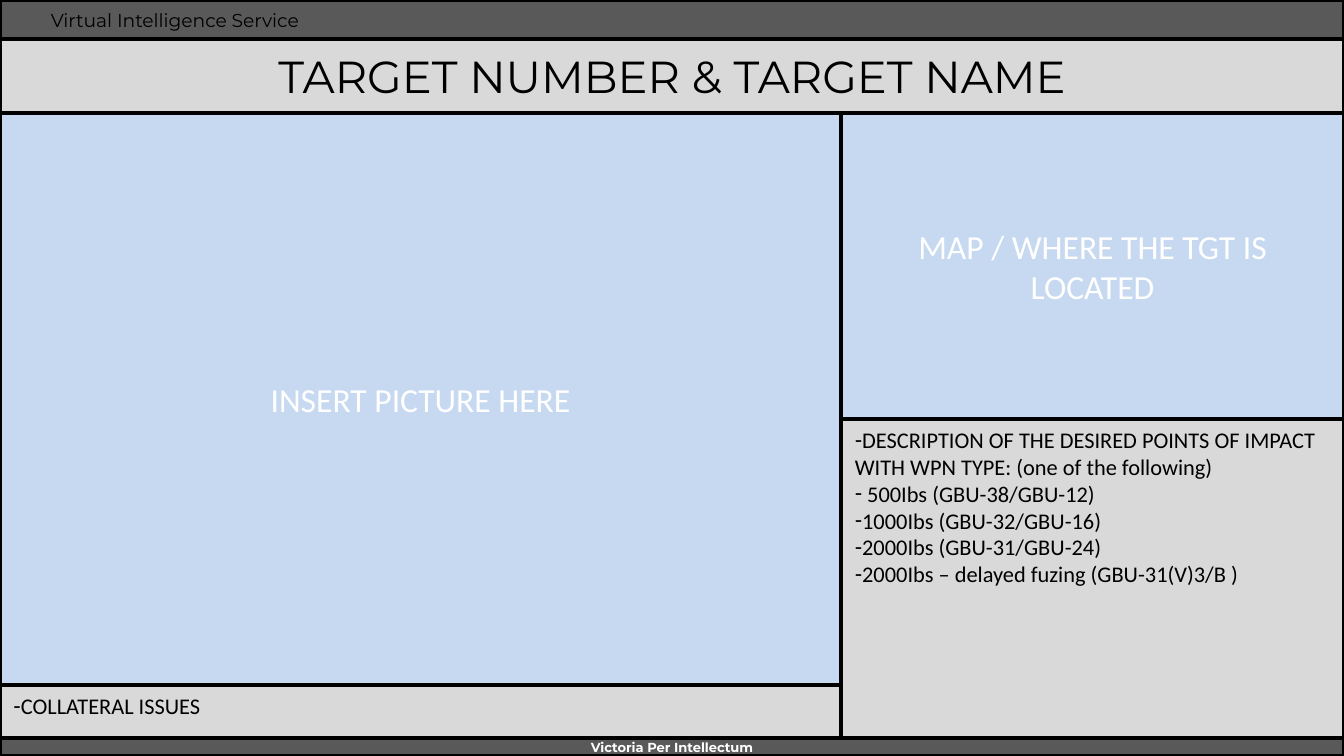
import pptx
import pptx.util
import pptx.dml.color
import pptx.enum.shapes
import pptx.enum.text
import pptx.oxml

Inches = pptx.util.Inches
Pt = pptx.util.Pt
ALIGN = pptx.enum.text.PP_ALIGN
ANCHOR = pptx.enum.text.MSO_ANCHOR

# Content
SERVICE = "Virtual Intelligence Service"
MOTTO = "Victoria Per Intellectum"
TITLE = "TARGET NUMBER & TARGET NAME"
PICTURE = "INSERT PICTURE HERE"
MAP = "MAP / WHERE THE TGT IS LOCATED"
IMPACT_POINTS = [
    "DESCRIPTION OF THE DESIRED POINTS OF IMPACT WITH WPN TYPE: (one of the following)",
    " 500Ibs (GBU-38/GBU-12)",
    "1000Ibs (GBU-32/GBU-16)",
    "2000Ibs (GBU-31/GBU-24)",
    "2000Ibs – delayed fuzing (GBU-31(V)3/B )",
]
COLLATERAL = ["COLLATERAL ISSUES"]

# Widescreen grid: column edges and row edges in inches
WIDTH = 10
HEIGHT = WIDTH * 9 / 16
SPLIT = 6.26
HEADER_END, TITLE_END, MAP_END, PICTURE_END, FOOTER_TOP = 0.29, 0.84, 3.12, 5.1, 5.49

BLACK, WHITE, BAR, PANEL, PAPER = "000000", "FFFFFF", "595959", "C6D9F1", "D9D9D9"


def color(hex_text):
    """Turn a hex string into a colour."""
    return pptx.dml.color.RGBColor.from_string(hex_text)


def place(shape, left, top, right, bottom):
    """Fit a shape between grid edges."""
    shape.left, shape.top = Inches(left), Inches(top)
    shape.width, shape.height = Inches(right - left), Inches(bottom - top)


def outline(shape):
    """Give a shape the black frame line."""
    shape.line.color.rgb = color(BLACK)
    shape.line.width = Pt(2)


def write(shape, lines, font, size, ink, align=ALIGN.LEFT, anchor=ANCHOR.TOP, bold=False):
    """Fill a shape with paragraphs in one style."""
    frame = shape.text_frame
    frame.text = "\n".join(lines)
    frame.word_wrap = True
    frame.auto_size = pptx.enum.text.MSO_AUTO_SIZE.NONE
    frame.vertical_anchor = anchor
    for paragraph in frame.paragraphs:
        paragraph.alignment = align
        paragraph.space_before = Pt(0)
        paragraph.font.name = font
        paragraph.font.size = Pt(size)
        paragraph.font.bold = bold
        paragraph.font.color.rgb = color(ink)


def add_box(slide, edges, fill=None, framed=False):
    """Add a rectangle between grid edges."""
    shape = slide.shapes.add_shape(pptx.enum.shapes.MSO_SHAPE.RECTANGLE, 0, 0, 0, 0)
    place(shape, *edges)
    shape.shadow.inherit = False
    if fill:
        shape.fill.solid()
        shape.fill.fore_color.rgb = color(fill)
    else:
        shape.fill.background()
    if framed:
        outline(shape)
    else:
        shape.line.fill.background()
    return shape


def add_panel(slide, edges, text):
    """Add a framed blue panel with a centred prompt."""
    panel = add_box(slide, edges, PANEL, framed=True)
    write(panel, [text], "Calibri", 18, WHITE, ALIGN.CENTER, ANCHOR.MIDDLE)


def add_label(slide, edges, text, size, ink, **style):
    """Add a text box in the bar font."""
    label = slide.shapes.add_textbox(0, 0, 0, 0)
    place(label, *edges)
    write(label, [text], "Montserrat", size, ink, **style)
    return label


def frame_placeholder(slide, placeholder, edges):
    """Place a placeholder with a frame, in front of all earlier shapes."""
    place(placeholder, *edges)
    outline(placeholder)
    slide.shapes._spTree.append(placeholder._element)


def fill_list(slide, placeholder, edges, lines):
    """Make a body placeholder a framed list with dash bullets."""
    frame_placeholder(slide, placeholder, edges)
    write(placeholder, lines, "Calibri", 12, BLACK)
    for paragraph in placeholder.text_frame.paragraphs:
        properties = paragraph._p.get_or_add_pPr()
        properties.set("marL", "0")
        properties.set("indent", "0")
        bullet = pptx.oxml.parse_xml(
            '<a:buChar xmlns:a="http://schemas.openxmlformats.org/drawingml/2006/main" char="-"/>')
        properties.insert_element_before(bullet, "a:tabLst", "a:defRPr", "a:extLst")


presentation = pptx.Presentation()
presentation.slide_width, presentation.slide_height = Inches(WIDTH), Inches(HEIGHT)
slide = presentation.slides.add_slide(presentation.slide_layouts.get_by_name("Two Content"))
title, impact_list, collateral_list = list(slide.placeholders)
slide.background.fill.solid()
slide.background.fill.fore_color.rgb = color(PAPER)

add_box(slide, (0, 0, WIDTH, HEADER_END), BAR)
add_box(slide, (0, FOOTER_TOP, WIDTH, HEIGHT), BAR)
add_label(slide, (0.28, 0.02, 7.14, HEADER_END), SERVICE, 10, BLACK)
motto = add_label(slide, (0, 5.5, WIDTH, HEIGHT), MOTTO, 7, WHITE, align=ALIGN.CENTER, bold=True)
motto_frame = motto.text_frame
motto_frame.margin_left = motto_frame.margin_right = 0
motto_frame.margin_top = motto_frame.margin_bottom = 0
add_box(slide, (0, 0, WIDTH, HEIGHT), framed=True)

frame_placeholder(slide, title, (0, HEADER_END, WIDTH, TITLE_END))
write(title, [TITLE], "Montserrat", 24, BLACK, ALIGN.CENTER, ANCHOR.MIDDLE)
add_panel(slide, (0, TITLE_END, SPLIT, PICTURE_END), PICTURE)
fill_list(slide, impact_list, (SPLIT, MAP_END, WIDTH, FOOTER_TOP), IMPACT_POINTS)
add_panel(slide, (SPLIT, TITLE_END, WIDTH, MAP_END), MAP)
fill_list(slide, collateral_list, (0, PICTURE_END, SPLIT, FOOTER_TOP), COLLATERAL)

presentation.save("out.pptx")
